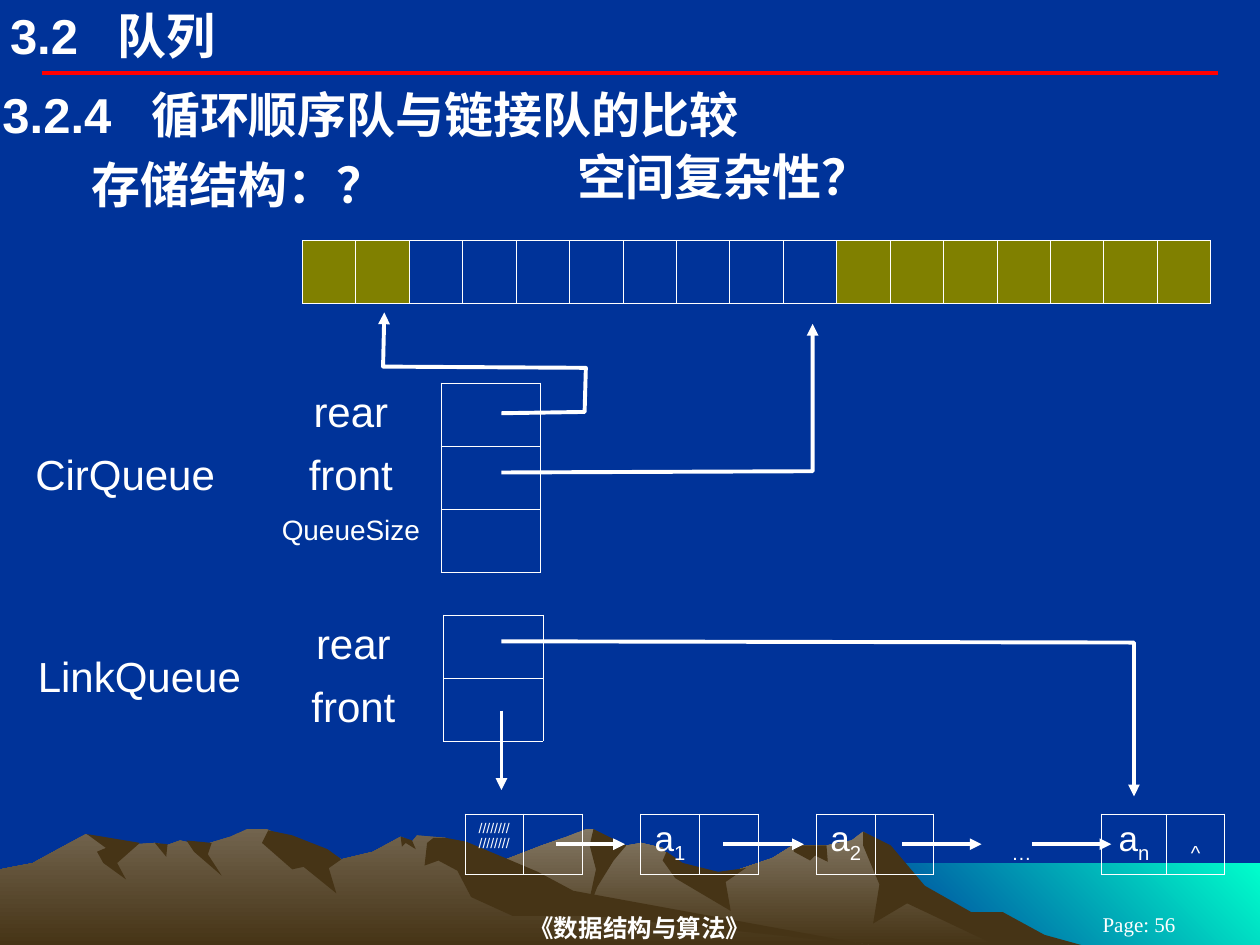
from lxml.etree import SubElement
from pptx import Presentation
from pptx.dml.color import RGBColor
from pptx.enum.shapes import MSO_CONNECTOR
from pptx.enum.text import MSO_ANCHOR, PP_ALIGN
from pptx.oxml.ns import qn
from pptx.util import Inches, Pt

NAVY = RGBColor(0x00, 0x33, 0x99)
WHITE = RGBColor(0xFF, 0xFF, 0xFF)
RED = RGBColor(0xFF, 0x00, 0x00)
OLIVE = RGBColor(0x80, 0x80, 0x00)
AQUA = RGBColor(0x00, 0xFF, 0xCC)
BROWN = RGBColor(0x46, 0x34, 0x16)
TAN = RGBColor(0x83, 0x77, 0x63)
EARTH = RGBColor(0x72, 0x64, 0x4E)
SANS, SERIF = "Arial", "Times New Roman"
LEFT, CENTER = PP_ALIGN.LEFT, PP_ALIGN.CENTER
NO_GRID = "{2D5ABB26-0587-4C30-8999-92F81FD0307C}"  # table style
WIDE, HIGH = 10, 7.5
ROW = 0.5  # height of a queue cell

# Landscape: a hill is its skyline, left to right; the ground line closes it.
FAR_SKY = [(2.58, HIGH), (2.77, 7.39), (3.27, 7.09), (3.94, 6.85), (4.3, 6.71),
           (4.5, 6.64), (4.65, 6.58), (4.71, 6.58), (4.86, 6.73), (5.09, 6.69),
           (5.26, 6.73), (5.36, 6.9), (5.66, 6.97), (6.13, 6.81), (6.29, 6.71),
           (6.56, 6.71), (6.76, 6.67), (6.85, 6.6), (7.02, 6.71), (7.23, 6.98),
           (7.64, 7.23), (8.02, 7.4), (8.2, HIGH)]
FAR_SHADES = {
    "east slope": [(6.85, 6.6), (7.07, 6.71), (7.34, 7.03), (7.71, 7.24), (7.96, 7.24),
                   (8.29, 7.42), (8.58, HIGH), (7.9, HIGH), (7.2, 7.17), (6.93, 7.33),
                   (6.98, 7.02), (6.85, 6.71)],
    "peak": [(4.71, 6.58), (4.97, 6.71), (4.87, 6.83), (4.74, 7.04), (4.65, 7.27),
             (4.73, 6.9), (4.68, 6.71)],
    "saddle": [(5.29, 6.76), (5.42, 6.85), (5.7, 6.92), (5.92, 6.89), (5.76, 7),
               (5.8, 7.23), (5.36, 6.97), (5.26, 6.83)],
    "notch": [(6.3, 6.71), (6.56, 6.71), (6.57, 6.84), (6.47, 6.79), (6.43, 6.83),
              (6.3, 6.76)],
}
NEAR_SKY = [(0, HIGH), (0, 6.9), (0.26, 6.85), (0.46, 6.74), (0.68, 6.62), (0.94, 6.71),
            (1.23, 6.69), (1.32, 6.71), (1.43, 6.67), (1.6, 6.71), (1.83, 6.64),
            (1.96, 6.58), (2.12, 6.58), (2.23, 6.63), (2.36, 6.81), (2.6, 6.76),
            (2.71, 6.82), (2.96, 6.76), (3.18, 6.64), (3.27, 6.68), (3.31, 6.63),
            (3.54, 6.65), (4.32, 7.12), (6.9, HIGH)]
NEAR_SHADES = {
    "west peak": [(0.69, 6.62), (1.11, 6.69), (0.93, 6.85), (1, 6.98), (0.82, 6.85),
                  (0.77, 6.76), (0.84, 6.73)],
    "dent": [(1.23, 6.69), (1.33, 6.7), (1.32, 6.8)],
    "gully": [(1.48, 6.67), (1.68, 6.69), (1.65, 6.78), (1.76, 6.95), (1.54, 6.76)],
    "middle peak": [(2.13, 6.59), (2.32, 6.63), (2.6, 6.74), (2.71, 6.82), (2.61, 6.89),
                    (2.67, 7.09), (2.41, 6.88), (2.32, 6.9), (2.08, 6.69)],
    "cleft": [(3.18, 6.64), (3.27, 6.67), (3.3, 6.74), (3.22, 6.69), (3.19, 6.72)],
    "east ridge": [(3.44, 6.65), (3.54, 6.65), (3.7, 6.68), (4.01, 6.81), (4.27, 6.92),
                   (4.55, 7.07), (6.9, HIGH), (4.72, 7.27), (4.07, 7.27), (3.74, 7.12),
                   (3.63, 6.91), (3.48, 6.83), (3.37, 6.87), (3.39, 6.69)],
}
HILLS = [(FAR_SKY, TAN, FAR_SHADES), (NEAR_SKY, EARTH, NEAR_SHADES)]
SEA = [(6.83, 6.85), (WIDE, 6.85), (WIDE, HIGH), (6.83, HIGH)]

# text, (left, top, width, height), look
FOOTERS = [
    ("《数据结构与算法》", (2.05, 7.22, 6.06, 0.28), dict(size=14, bold=True)),
    ("Page: 56", (8.25, 7.25, 1.58, 0.17), dict(size=12)),
]
# text, (left, top, width, height), tab stop
HEADS = [
    ("3.2\t队列", (0.08, 0.04, 6.5, 0.47), 0.85),
    ("3.2.4\t循环顺序队与链接队的比较", (0.02, 0.67, 9.96, 0.47), 1.18),
    ("存储结构：？", (0.73, 1.23, 2.6, 0.47), None),
    ("空间复杂性？", (4.58, 1.16, 3.62, 0.47), None),
]

SLOTS = 17
USED = {0, 1, *range(10, SLOTS)}
FIELDS = [1.89, 1.43, 0.79]  # queue name, field name, pointer cell
# (row, column): (text, size)
CIRCLE = {(0, 1): ("rear", 24), (1, 0): ("CirQueue", 24), (1, 1): ("front", 24),
          (2, 1): ("QueueSize", 16)}
LINKED = {(0, 0): ("LinkQueue", 24), (0, 1): ("rear", 24), (1, 1): ("front", 24)}

CHAIN = [4.65 / 10] * 10 + [0.4, 0.52, 0.46]
NODES = {0, 1, 3, 4, 6, 7, 11, 12}  # bordered columns
# column: (text, subscript, size)
DATA = {0: ("////////////////", "", 8), 3: ("a", "1", 20), 6: ("a", "2", 20),
        9: ("", "…", 20), 11: ("a", "n", 20), 12: ("", "^", 20)}

LINK_Y = 6.7  # height of the links between nodes
HOPS = [(4.41, 4.96), (5.74, 6.38), (7.16, 7.79), (8.19, 8.82)]
POINTERS = {
    "circular rear": [(3.98, 3.28), (4.64, 3.27), (4.65, 2.92), (3.04, 2.91), (3.05, 2.48)],
    "circular front": [(3.98, 3.75), (6.45, 3.74), (6.45, 2.57)],
    "linked rear": [(3.98, 5.09), (9, 5.1), (9, 6.32)],
}
HEAD_LINK = (3.98, 5.64), (3.98, 6.27)  # linked front


def outline(shapes, points, close):
    start, *rest = [(Inches(x), Inches(y)) for x, y in points]
    pen = shapes.build_freeform(*start)
    pen.add_line_segments(rest, close=close)
    shape = pen.convert_to_shape()
    shape.shadow.inherit = False
    return shape


def flat(shapes, points, tone):
    """Add a closed outline in one colour."""
    shape = outline(shapes, points, True)
    shape.line.fill.background()
    shape.fill.solid()
    shape.fill.fore_color.rgb = tone


def blend(shapes, points, tones, angle):
    """Add a closed outline with a gradient of two colours."""
    shape = outline(shapes, points, True)
    shape.line.fill.background()
    shape.fill.gradient()
    shape.fill.gradient_angle = angle
    for stop, tone in zip(shape.fill.gradient_stops, tones):
        stop.color.rgb = tone


def ink(line, tone=WHITE, arrow=True):
    line.color.rgb = tone
    line.width = Pt(2.25)
    if arrow:
        SubElement(line._get_or_add_ln(), qn("a:tailEnd"), type="triangle")


def join(shapes, start, end, **look):
    link = shapes.add_connector(MSO_CONNECTOR.STRAIGHT, *map(Inches, (*start, *end)))
    ink(link.line, **look)
    SubElement(link._element.spPr, qn("a:effectLst"))


def style(para, size, bold=False, face=SANS, align=LEFT):
    para.alignment = align
    para.font.name, para.font.size, para.font.bold = face, Pt(size), bold
    para.font.color.rgb = WHITE


def label(shapes, text, place, anchor=MSO_ANCHOR.TOP, tab=None, **look):
    frame = shapes.add_textbox(*map(Inches, place)).text_frame
    frame.margin_left = frame.margin_right = frame.margin_top = frame.margin_bottom = 0
    frame.word_wrap = True
    frame.vertical_anchor = anchor
    para = frame.paragraphs[0]
    para.text = text
    if tab:
        stops = SubElement(para._p.get_or_add_pPr(), qn("a:tabLst"))
        SubElement(stops, qn("a:tab"), pos=str(Inches(tab)), algn="l")
    style(para, **look)


def border(cell):
    for side in ("a:lnL", "a:lnR", "a:lnT", "a:lnB"):
        edge = SubElement(cell._tc.get_or_add_tcPr(), qn(side), w=str(Pt(0.45)))
        SubElement(SubElement(edge, qn("a:solidFill")), qn("a:srgbClr"), val=str(WHITE))


def grid(shapes, left, top, cols, rows, high, boxed, used=()):
    """Add a table with borders on the boxed columns and olive used ones."""
    size = map(Inches, (left, top, sum(cols), rows * high))
    table = shapes.add_table(rows, len(cols), *size).table
    table.first_row = table.horz_banding = False
    table._tbl.tblPr.find(qn("a:tableStyleId")).text = NO_GRID
    for col, width in zip(table.columns, cols):
        col.width = Inches(width)
    for row in table.rows:
        row.height = Inches(high)
        for i, cell in enumerate(row.cells):
            if i in boxed:
                border(cell)
            cell.fill.background()
            if i in used:
                cell.fill.solid()
                cell.fill.fore_color.rgb = OLIVE
    return table


def record(shapes, left, top, rows, fields):
    """Add a queue's header: its name, its fields and their cells."""
    table = grid(shapes, left, top, FIELDS, rows, ROW, boxed={2})
    for (row, col), (text, size) in fields.items():
        para = table.cell(row, col).text_frame.paragraphs[0]
        para.text = text
        style(para, size, align=CENTER if col else LEFT)
    return table


def scenery(shapes):
    blend(shapes, SEA, (AQUA, NAVY), 225)
    for sky, tone, shades in HILLS:
        blend(shapes, sky, (tone, BROWN), 270)
        for shade in shades.values():
            flat(shapes, shade, BROWN)


def titles(shapes):
    join(shapes, (0.33, 0.58), (9.67, 0.58), tone=RED, arrow=False)
    for text, place, look in FOOTERS:
        label(shapes, text, place, MSO_ANCHOR.MIDDLE, face=SERIF, align=CENTER, **look)
    for text, place, tab in HEADS:
        label(shapes, text, place, tab=tab, size=28, bold=True)


def queues(shapes):
    grid(shapes, 2.4, 1.91, [7.21 / SLOTS] * SLOTS, 1, ROW, range(SLOTS), USED)
    record(shapes, 0.18, 3.04, 3, CIRCLE)
    linked = record(shapes, 0.2, 4.88, 2, LINKED)
    name = linked.cell(0, 0)
    name.merge(linked.cell(1, 0))
    name.vertical_anchor = MSO_ANCHOR.MIDDLE


def chain(shapes):
    table = grid(shapes, 3.69, 6.46, CHAIN, 1, 0.48, NODES)
    for col, (text, sub, size) in DATA.items():
        para = table.cell(0, col).text_frame.paragraphs[0]
        for part, shift in ((text, "0"), (sub, "-25000")):
            if part:
                run = para.add_run()
                run.text = part
                run._r.get_or_add_rPr().set("baseline", shift)
        style(para, size, align=CENTER)


def arrows(shapes):
    for start, end in HOPS:
        join(shapes, (start, LINK_Y), (end, LINK_Y))
    for points in POINTERS.values():
        route = outline(shapes, points, False)
        route.fill.background()
        ink(route.line)
    join(shapes, *HEAD_LINK)


def main():
    deck = Presentation()
    deck.slide_width, deck.slide_height = Inches(WIDE), Inches(HIGH)
    slide = deck.slides.add_slide(deck.slide_layouts[6])
    slide.background.fill.solid()
    slide.background.fill.fore_color.rgb = NAVY
    for draw in (scenery, titles, queues, chain, arrows):
        draw(slide.shapes)
    deck.save("out.pptx")


if __name__ == "__main__":
    main()
